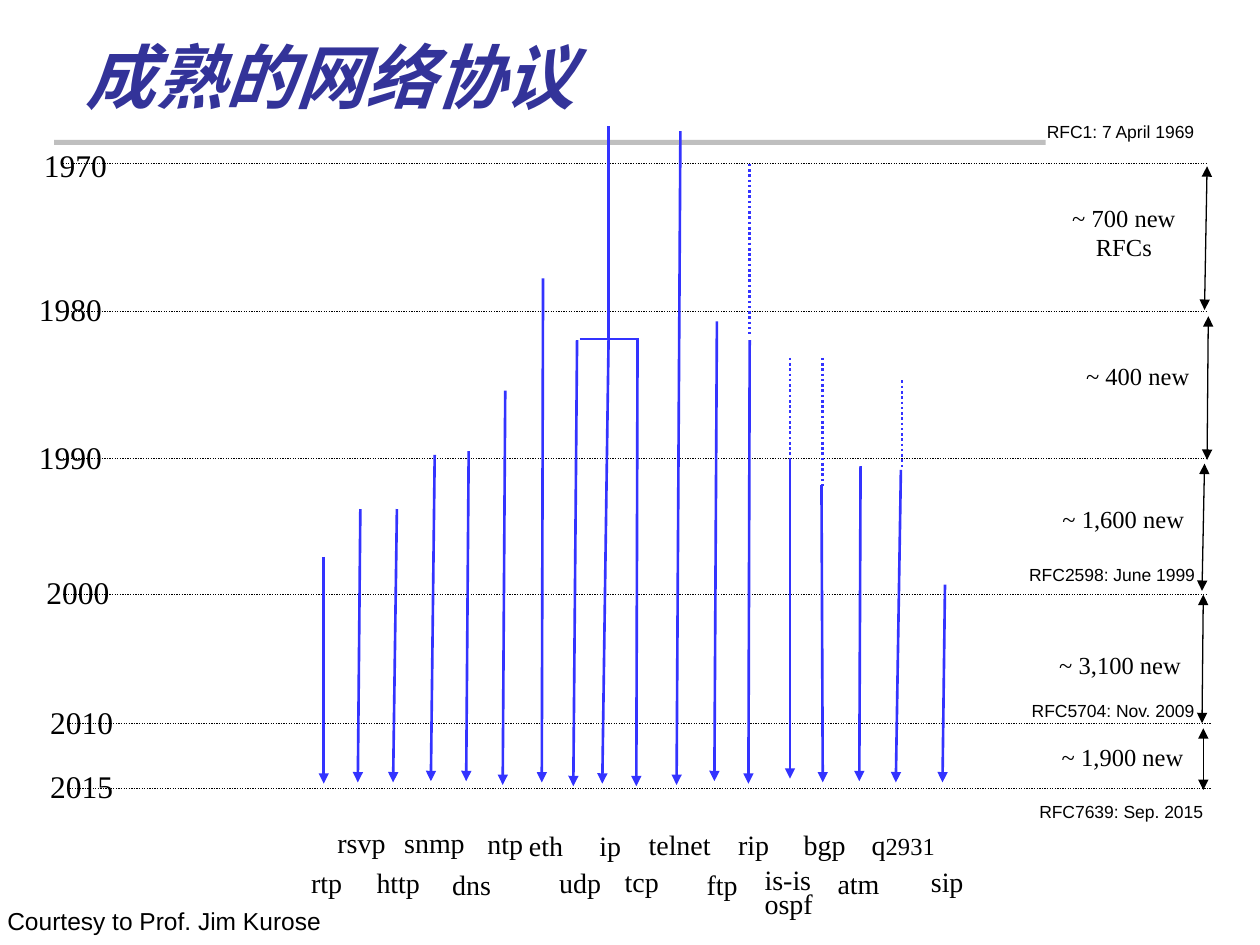
"""Build a timeline slide of mature network protocols and RFC growth."""
from dataclasses import dataclass

from lxml import etree
from pptx import Presentation
from pptx import util as u
from pptx.dml import color
from pptx.enum import dml, shapes, text
from pptx.oxml import ns

COLUMNS, ROWS = 100, 75
WIDTH, HEIGHT = u.Inches(10), u.Inches(7.5)


@dataclass(frozen=True)
class Theme:
    """Colours, fonts and type sizes of the slide."""
    ink: str = "000000"
    title: str = "333399"
    protocol: str = "3333FF"
    bar: str = "BFBFBF"
    serif: str = "Times New Roman"
    sans: str = "Arial"
    heading: str = "Calibri"
    title_size: int = 40
    year_size: int = 18
    label_size: int = 16
    note_size: int = 14
    small_size: int = 10
    thin: float = 0.75
    thick: float = 1.5


THEME = Theme()

# year, label column, label row, line column, line row
DECADES = [
    ("1970", 2.5, 11.1, 5, 13),
    ("1980", 2.1, 22.5, 5, 24.7),
    ("1990", 2.1, 34.3, 5, 36.4),
    ("2000", 2.7, 45, 5, 47.2),
    ("2010", 3, 55.3, 5.3, 57.4),
    ("2015", 3, 60.4, 5.3, 62.6),
]
# label, label column, row and width, arrow start, arrow end, line spacing
PROTOCOLS = [
    ("rtp", 23.7, 68.2, 4.5, (25.7, 44.2), (25.7, 62.2), None),
    ("rsvp", 25.8, 65, 5.9, (28.6, 40.4), (28.4, 62.1), None),
    ("http", 28.9, 68.2, 5.5, (31.5, 40.4), (31.2, 62.1), None),
    ("snmp", 31.1, 65, 6.8, (34.5, 36.1), (34.2, 62), None),
    ("dns", 34.9, 68.4, 5.1, (37.2, 35.8), (37, 62), None),
    ("ntp", 37.7, 65.1, 4.9, (40.1, 31), (39.9, 62.3), None),
    ("eth", 41, 65.3, 4.7, (43.1, 22.1), (43, 62.1), None),
    ("udp", 43.4, 68.2, 5.3, (45.8, 27), (45.5, 62.4), None),
    ("ip", 46.6, 65.3, 3.7, (48.3, 27), (47.8, 62.2), None),
    ("tcp", 48.6, 68.1, 4.7, (50.6, 26.9), (50.5, 62.4), None),
    ("telnet", 50.5, 65.2, 7, (54, 10.4), (53.7, 62.3), None),
    ("ftp", 55.1, 68.4, 4.5, (56.9, 25.5), (56.7, 62), None),
    ("rip", 57.6, 65.2, 4.5, (59.5, 27), (59.4, 62.2), None),
    ("is-is\nospf", 59.7, 68.7, 5.9, (62.7, 36.4), (62.7, 61.8), 0.7),
    ("bgp", 62.8, 65.9, 5.3, (65.2, 38.5), (65.3, 62.1), 0.7),
    ("atm", 65.5, 69, 5.4, (68.3, 37), (68.2, 62), 0.7),
    ("q", 68.2, 65.9, 8.2, (71.5, 37.3), (71.1, 62.1), 0.7),
    ("sip", 72.9, 68.1, 4.6, (75, 46.4), (74.8, 62.1), None),
]
# column, first row, last row
EARLY_WORK = [
    (59.5, 13, 26.5),
    (62.7, 28.4, 38.6),
    (65.3, 28.4, 38.6),
    (71.6, 30.2, 37.1),
]
IP_SPLIT = [((48.3, 10), (48.3, 26.9)), ((46, 26.9), (50.7, 26.9))]
# count, column, row, width, height, arrow start, arrow end
GROWTH = [
    ("~ 700 new\n RFCs ", 83.6, 15.6, 11.2, 5.7, (95.8, 13.2), (95.6, 24.6)),
    ("~ 400 new", 84.3, 28.2, 12, 3.3, (95.9, 25.1), (95.8, 36.5)),
    ("~ 1,600 new", 81.2, 39.5, 15.9, 3.3, (95.6, 36.8), (95.4, 46.9)),
    ("~ 3,100 new", 80.9, 51.1, 16, 3.3, (95.5, 47.2), (95.4, 57.4)),
    ("~ 1,900 new", 81.1, 58.4, 16, 3.3, (95.5, 57.8), (95.5, 62.7)),
]
MILESTONES = [
    ("RFC1: 7 April 1969", 82.1, 9.1, 13.8),
    ("RFC2598: June 1999", 80.7, 44.3, 15.6),
    ("RFC5704: Nov. 2009", 80.9, 55.1, 15.4),
    ("RFC7639: Sep. 2015", 81.5, 63.1, 15.4),
]


def place(column, row):
    """Turn a grid column and row into slide lengths."""
    return round(WIDTH * column / COLUMNS), round(HEIGHT * row / ROWS)


def style_run(run, size, font=THEME.serif, ink=THEME.ink, strong=False):
    """Set the type of one run."""
    run.font.size, run.font.name = u.Pt(size), font
    run.font.color.rgb = color.RGBColor.from_string(ink)
    if strong:
        run.font.bold = run.font.italic = True


def add_text(slide, words, column, row, width, height, *, size, wrap=False,
             align=text.PP_ALIGN.LEFT, spacing=None, grow=True,
             anchor=text.MSO_ANCHOR.TOP, **style):
    """Add a text box with one paragraph per line of words."""
    box = slide.shapes.add_textbox(*place(column, row), *place(width, height))
    frame = box.text_frame
    frame.word_wrap, frame.vertical_anchor = wrap, anchor
    if grow:
        frame.auto_size = text.MSO_AUTO_SIZE.SHAPE_TO_FIT_TEXT
    for index, line in enumerate(words.split("\n")):
        paragraph = frame.add_paragraph() if index else frame.paragraphs[0]
        paragraph.alignment, paragraph.line_spacing = align, spacing
        run = paragraph.add_run()
        run.text = line
        style_run(run, size, **style)
    return box


def add_line(slide, start, end, ink, weight, dotted=False, arrows=()):
    """Add a straight line with optional dots and arrowheads."""
    line = slide.shapes.add_connector(
        shapes.MSO_CONNECTOR.STRAIGHT, *place(*start), *place(*end))
    line.line.color.rgb = color.RGBColor.from_string(ink)
    line.line.width = u.Pt(weight)
    if dotted:
        line.line.dash_style = dml.MSO_LINE.ROUND_DOT
    properties = line._element.spPr
    outline = properties.find(ns.qn("a:ln"))
    for arrow in arrows:
        etree.SubElement(outline, ns.qn(f"a:{arrow}"), type="triangle")
    etree.SubElement(properties, ns.qn("a:effectLst"))


def add_heading(slide):
    """Add the title and the bar below it."""
    bar = slide.shapes.add_shape(
        shapes.MSO_SHAPE.RECTANGLE, *place(4.3, 11.1), *place(78.7, 0.4))
    bar.shadow.inherit = False
    bar.fill.solid()
    bar.fill.fore_color.rgb = color.RGBColor.from_string(THEME.bar)
    bar.line.fill.background()
    add_text(slide, "成熟的网络协议", 5.8, 3.2, 85, 6.6, size=THEME.title_size,
             wrap=True, grow=False, anchor=text.MSO_ANCHOR.BOTTOM,
             font=THEME.heading, ink=THEME.title, strong=True)


def add_decades(slide):
    """Add the dotted year lines and their labels."""
    for year, column, row, line_column, line_row in DECADES:
        add_line(slide, (line_column, line_row), (line_column + 90.8, line_row),
                 THEME.ink, THEME.thin, dotted=True)
        add_text(slide, year, column, row, 7.1, 4, size=THEME.year_size)


def add_protocols(slide):
    """Add each protocol's arrow and label, and the earlier work."""
    blue = {"ink": THEME.protocol, "weight": THEME.thick}
    for start, end in IP_SPLIT:
        add_line(slide, start, end, **blue)
    for column, first, last in EARLY_WORK:
        add_line(slide, (column, first), (column, last), dotted=True, **blue)
    for name, column, row, width, start, end, spacing in PROTOCOLS:
        add_line(slide, start, end, arrows=["tailEnd"], **blue)
        height = 4.8 if "\n" in name else 2.9 if spacing else 3.7
        label = add_text(slide, name, column, row, width, height,
                         size=THEME.label_size, spacing=spacing, wrap=name == "q")
        if name == "q":
            number = label.text_frame.paragraphs[0].add_run()
            number.text = "2931"
            style_run(number, THEME.note_size)


def add_growth(slide):
    """Add the counts of new RFCs, their spans and the milestones."""
    for count, column, row, width, height, start, end in GROWTH:
        add_text(slide, count, column, row, width, height, wrap=True,
                 size=THEME.note_size, align=text.PP_ALIGN.CENTER)
        add_line(slide, start, end, THEME.ink, THEME.thin,
                 arrows=["headEnd", "tailEnd"])
    for milestone, column, row, width in MILESTONES:
        add_text(slide, milestone, column, row, width, 2.7,
                 size=THEME.small_size, font=THEME.sans)


def main():
    """Build and save the slide."""
    presentation = Presentation()
    presentation.slide_width, presentation.slide_height = WIDTH, HEIGHT
    slide = presentation.slides.add_slide(presentation.slide_layouts[6])
    add_heading(slide)
    add_decades(slide)
    add_protocols(slide)
    add_growth(slide)
    add_text(slide, "Courtesy to Prof. Jim Kurose", -0.4, 71.4, 27, 3.4,
             size=THEME.note_size, font=THEME.sans)
    presentation.save("out.pptx")


if __name__ == "__main__":
    main()
